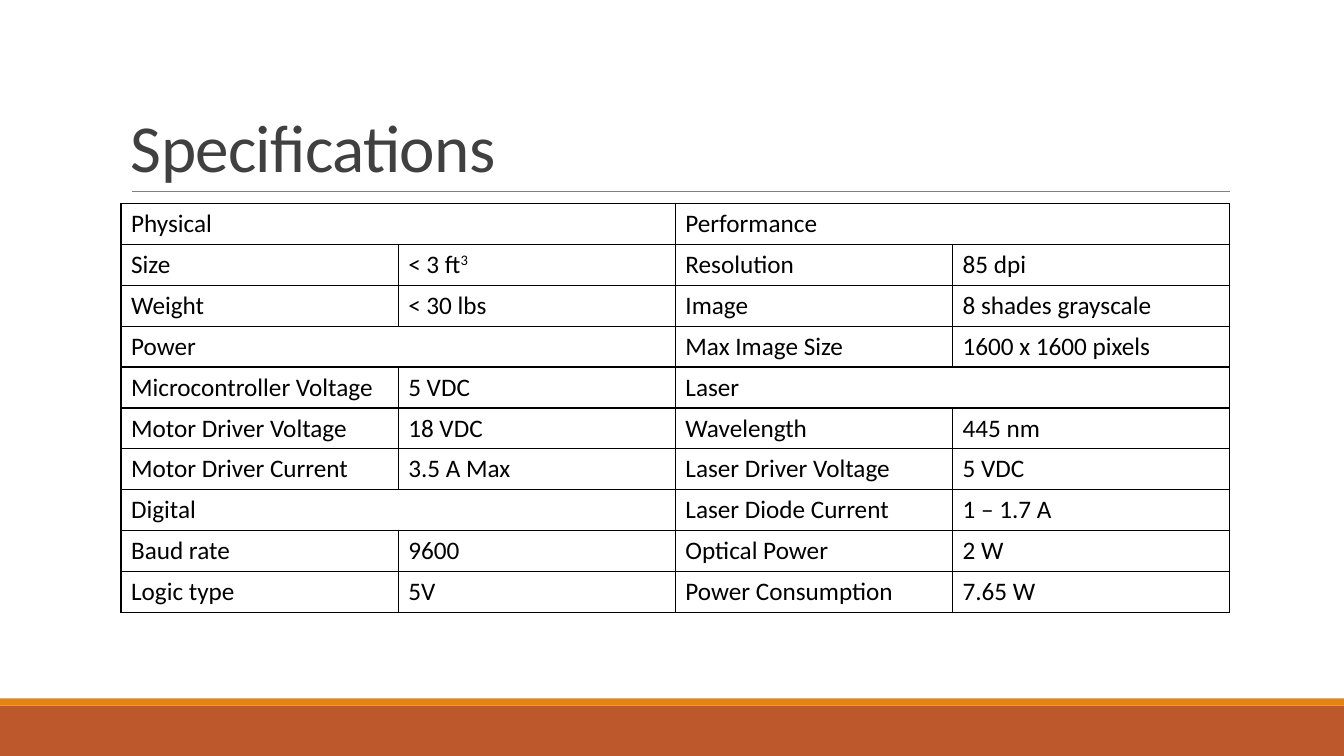
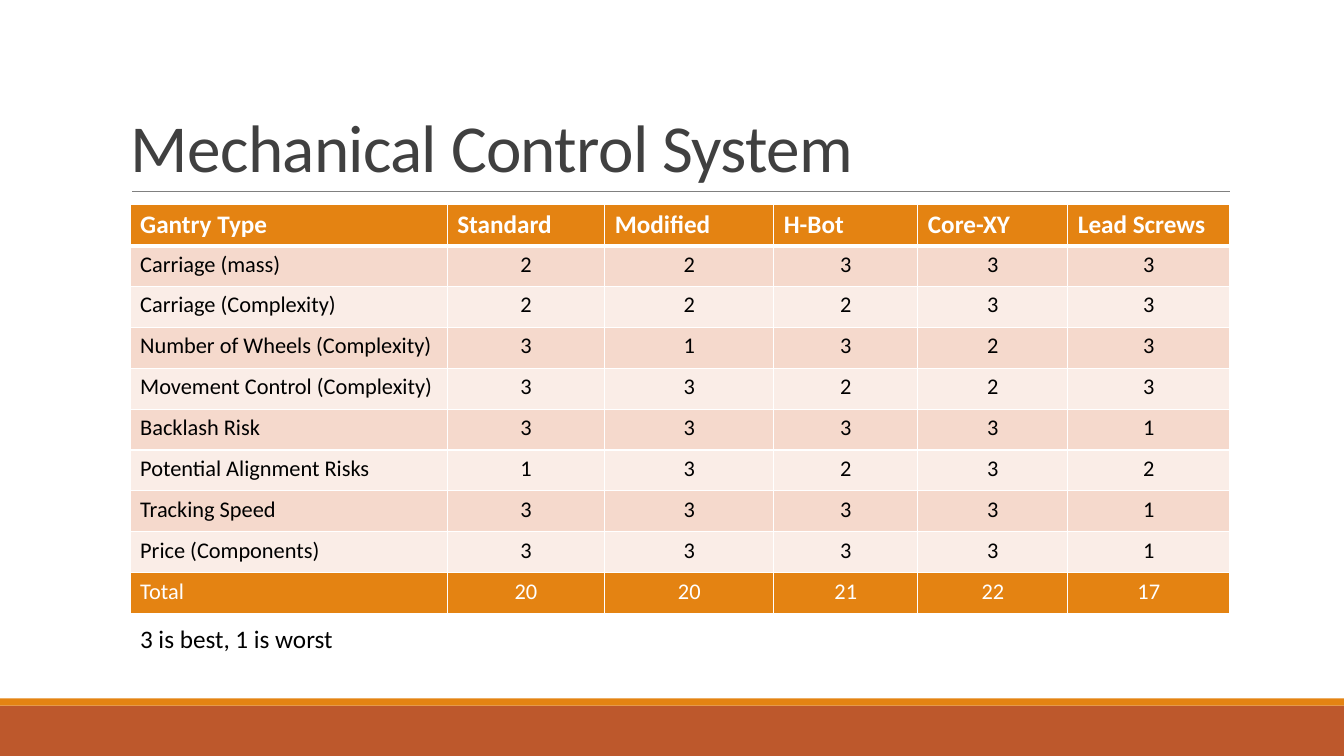
from dataclasses import dataclass

from lxml.etree import SubElement
from pptx import Presentation
from pptx.dml.color import RGBColor as Rgb
from pptx.enum.shapes import MSO_CONNECTOR as Connector, MSO_SHAPE as Shape
from pptx.enum.text import MSO_ANCHOR as Anchor, PP_ALIGN as Align
from pptx.oxml.ns import qn
from pptx.util import Cm, Pt


@dataclass(frozen=True)
class Theme:
    """Colours and type sizes shared by the slides."""
    font: str = "Calibri"
    title_size: int = 48
    text_size: int = 18
    score_size: int = 16
    title: str = "404040"
    text: str = "000000"
    white: str = "FFFFFF"
    rule: str = "808080"
    accent: str = "E48312"
    band: str = "BD582C"
    dark_row: str = "F5D9CC"
    light_row: str = "FAEDE7"


THEME = Theme()
SLIDE_WIDTH, SLIDE_HEIGHT = 33.87, 19.05
ROW_HEIGHT = 1.03

LEFT_SPECIFICATIONS = [
    ("Physical", None), ("Size", "< 3 ft"), ("Weight", "< 30 lbs"),
    ("Power", None), ("Microcontroller Voltage", "5 VDC"),
    ("Motor Driver Voltage", "18 VDC"), ("Motor Driver Current", "3.5 A Max"),
    ("Digital", None), ("Baud rate", "9600"), ("Logic type", "5V"),
]
RIGHT_SPECIFICATIONS = [
    ("Performance", None), ("Resolution", "85 dpi"),
    ("Image", "8 shades grayscale"), ("Max Image Size", "1600 x 1600 pixels"),
    ("Laser", None), ("Wavelength", "445 nm"), ("Laser Driver Voltage", "5 VDC"),
    ("Laser Diode Current", "1 – 1.7 A"), ("Optical Power", "2 W"),
    ("Power Consumption", "7.65 W"),
]
SUPERSCRIPTS = {"< 3 ft": "3"}

GANTRY_HEADER = ["Gantry Type", "Standard", "Modified", "H-Bot", "Core-XY", "Lead Screws"]
GANTRY_WIDTHS = [7.99, 3.97, 4.26, 3.63, 3.78, 4.08]
GANTRY_SCORES = {
    "Carriage (mass)": [2, 2, 3, 3, 3],
    "Carriage (Complexity)": [2, 2, 2, 3, 3],
    "Number of Wheels (Complexity)": [3, 1, 3, 2, 3],
    "Movement Control (Complexity)": [3, 3, 2, 2, 3],
    "Backlash Risk": [3, 3, 3, 3, 1],
    "Potential Alignment Risks": [1, 3, 2, 3, 2],
    "Tracking Speed": [3, 3, 3, 3, 1],
    "Price (Components)": [3, 3, 3, 3, 1],
}


def write(frame, text, size=THEME.text_size, color=THEME.text, bold=False,
          align=Align.LEFT, line_spacing=None, spacing=None, superscript=""):
    """Write one formatted paragraph into a text frame."""
    paragraph = frame.paragraphs[0]
    paragraph.alignment = align
    if line_spacing:
        paragraph.line_spacing = line_spacing
    for part, baseline in ((text, None), (superscript, "30000")):
        if not part:
            continue
        run = paragraph.add_run()
        run.text = part
        run.font.name = THEME.font
        run.font.size = Pt(size)
        run.font.bold = bold
        run.font.color.rgb = Rgb.from_string(color)
        properties = run._r.get_or_add_rPr()
        if baseline:
            properties.set("baseline", baseline)
        if spacing is not None:
            properties.set("spc", str(round(spacing * 100)))


def add_text(slide, box, text, anchor=Anchor.TOP, **text_format):
    """Add a wrapping text box in the given box."""
    frame = slide.shapes.add_textbox(*map(Cm, box)).text_frame
    frame.word_wrap = True
    frame.vertical_anchor = anchor
    write(frame, text, **text_format)


def add_band(slide, box, color):
    """Add a plain filled band."""
    shape = slide.shapes.add_shape(Shape.RECTANGLE, *map(Cm, box))
    shape.shadow.inherit = False
    shape.fill.solid()
    shape.fill.fore_color.rgb = Rgb.from_string(color)
    shape.line.fill.background()


def add_titled_slide(presentation, title):
    """Add a blank slide with the footer bands, title and title rule."""
    slide = presentation.slides.add_slide(presentation.slide_layouts[6])
    add_band(slide, (0, 17.78, SLIDE_WIDTH, 1.27), THEME.band)
    add_band(slide, (0, 17.6, SLIDE_WIDTH, 0.18), THEME.accent)
    rule = slide.shapes.add_connector(
        Connector.STRAIGHT, Cm(3.33), Cm(4.82), Cm(31), Cm(4.82))
    rule.line.color.rgb = Rgb.from_string(THEME.rule)
    rule.line.width = Pt(0.5)
    SubElement(rule._element.spPr, qn("a:effectLst"))
    add_text(slide, (3.05, 0.79, 27.94, 4.03), title, anchor=Anchor.BOTTOM,
             size=THEME.title_size, color=THEME.title, line_spacing=0.85, spacing=-0.5)
    return slide


def add_plain_table(slide, left, top, widths, row_count):
    """Add a table without banding and with equal rows."""
    table = slide.shapes.add_table(
        row_count, len(widths), Cm(left), Cm(top),
        Cm(sum(widths)), Cm(row_count * ROW_HEIGHT)).table
    table.first_row = table.horz_banding = False
    for column, width in zip(table.columns, widths):
        column.width = Cm(width)
    for row in table.rows:
        row.height = Cm(ROW_HEIGHT)
    return table


def style_cell(cell, border, fill=None, top=1, bottom=1):
    """Set the borders and the fill of a table cell."""
    properties = cell._tc.get_or_add_tcPr()
    for side, width in (("L", 1), ("R", 1), ("T", top), ("B", bottom)):
        line = SubElement(properties, qn(f"a:ln{side}"), w=str(Pt(width)))
        SubElement(SubElement(line, qn("a:solidFill")), qn("a:srgbClr"), val=border)
    if fill:
        cell.fill.solid()
        cell.fill.fore_color.rgb = Rgb.from_string(fill)
    else:
        cell.fill.background()


def add_specification_table(slide, left, top, width):
    """Add the table of two specification lists side by side."""
    table = add_plain_table(slide, left, top, [width / 4] * 4, len(LEFT_SPECIFICATIONS))
    for cell in table.iter_cells():
        style_cell(cell, THEME.text)
    for first, entries in ((0, LEFT_SPECIFICATIONS), (2, RIGHT_SPECIFICATIONS)):
        for row, (label, value) in enumerate(entries):
            label_cell, value_cell = table.cell(row, first), table.cell(row, first + 1)
            write(label_cell.text_frame, label)
            if value is None:
                label_cell.merge(value_cell)
            else:
                write(value_cell.text_frame, value, superscript=SUPERSCRIPTS.get(value, ""))


def add_score_table(slide, left, top):
    """Add the gantry scores with a header and a row of totals."""
    totals = [sum(column) for column in zip(*GANTRY_SCORES.values())]
    rows = [GANTRY_HEADER, *([name, *scores] for name, scores in GANTRY_SCORES.items()),
            ["Total", *totals]]
    last = len(rows) - 1
    table = add_plain_table(slide, left, top, GANTRY_WIDTHS, len(rows))
    for row, values in enumerate(rows):
        header, accented = row == 0, row in (0, last)
        fill = THEME.accent if accented else THEME.dark_row if row % 2 else THEME.light_row
        for column, value in enumerate(values):
            cell = table.cell(row, column)
            style_cell(cell, THEME.white, fill,
                       top=3 if row == 1 else 1, bottom=3 if header else 1)
            write(cell.text_frame, str(value), bold=header,
                  size=THEME.text_size if header else THEME.score_size,
                  color=THEME.white if accented else THEME.text,
                  align=Align.CENTER if column and not header else Align.LEFT)


def main():
    """Build and save the presentation."""
    presentation = Presentation()
    presentation.slide_width, presentation.slide_height = Cm(SLIDE_WIDTH), Cm(SLIDE_HEIGHT)
    add_specification_table(
        add_titled_slide(presentation, "Specifications"), 3.05, 5.13, 27.94)
    slide = add_titled_slide(presentation, "Mechanical Control System")
    add_score_table(slide, 3.28, 5.16)
    add_text(slide, (3.28, 15.57, 13.77, 1.03), "3 is best, 1 is worst")
    presentation.save("out.pptx")


if __name__ == "__main__":
    main()
